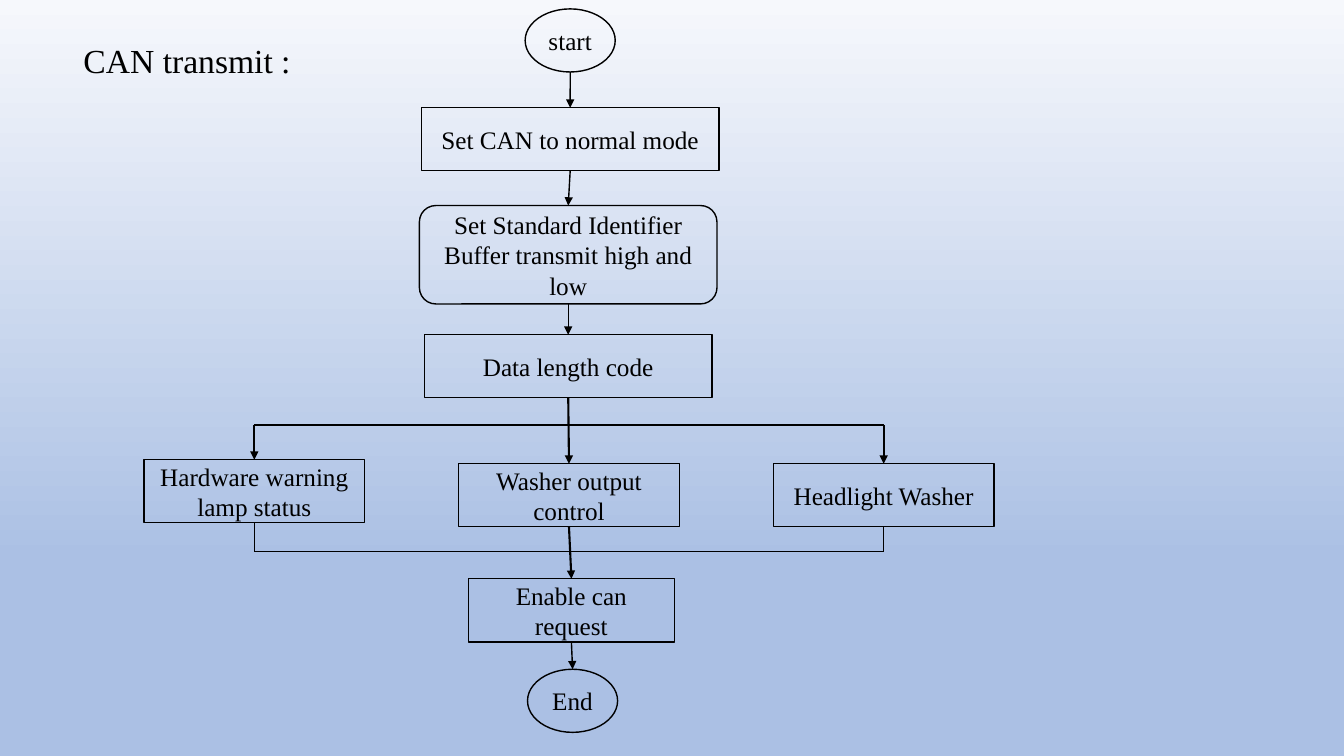
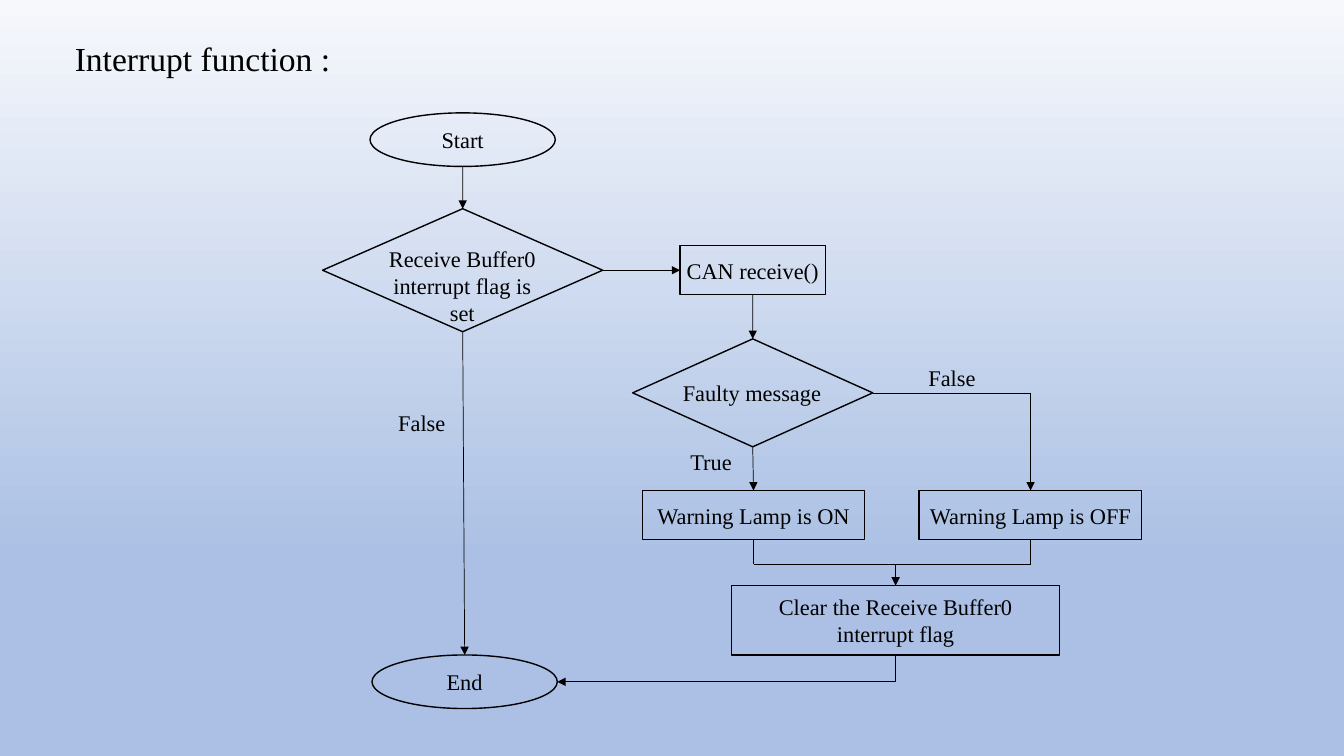
from copy import deepcopy

from lxml import etree
from pptx import Presentation
from pptx.dml.color import RGBColor
from pptx.enum import shapes, text
from pptx.oxml import ns
from pptx.util import Cm, Pt

BLACK = RGBColor(0x00, 0x00, 0x00)
SKY_TOP = RGBColor(0xF6, 0xF8, 0xFC)
SKY_BASE = RGBColor(0xAB, 0xC0, 0xE4)
FONT = "Times New Roman"

RECT = shapes.MSO_SHAPE.RECTANGLE
ROUND = shapes.MSO_SHAPE.ROUNDED_RECTANGLE
OVAL = shapes.MSO_SHAPE.OVAL
DIAMOND = shapes.MSO_SHAPE.DIAMOND


def top(box):
    return box.left + box.width // 2, box.top


def bottom(box):
    return box.left + box.width // 2, box.top + box.height


def left(box):
    return box.left, box.top + box.height // 2


def right(box):
    return box.left + box.width, box.top + box.height // 2


class FlowDeck:
    def __init__(self):
        self.deck = Presentation()
        self.deck.slide_width, self.deck.slide_height = Cm(33.87), Cm(19.05)
        self.page = None
        self.size = 18
        self.paint_master()

    def paint_master(self):
        master = self.deck.slide_master
        fill = master.background.fill
        fill.gradient()
        fill.gradient_angle = 270
        for stop, place, color in zip(fill.gradient_stops, (0, 0.74), (SKY_TOP, SKY_BASE)):
            stop.position = place
            stop.color.rgb = color
        stops = master.element.find(".//" + ns.qn("a:gsLst"))
        last = deepcopy(stops[-1])
        last.set("pos", "100000")
        stops.append(last)

    def new_page(self, title, x, y, size):
        self.page = self.deck.slides.add_slide(self.deck.slide_layouts[5])
        self.size = size
        box = self.page.shapes.title
        box.left, box.top, box.width, box.height = Cm(x), Cm(y), Cm(7.24), Cm(1.83)
        self.set_words(box, title, 24, text.PP_ALIGN.LEFT, True)
        box.text_frame.paragraphs[0].line_spacing = 0.9

    def set_words(self, box, words, size, align=text.PP_ALIGN.CENTER, wrap=False):
        frame = box.text_frame
        frame.text = words
        frame.auto_size = text.MSO_AUTO_SIZE.NONE
        frame.word_wrap = wrap
        frame.vertical_anchor = text.MSO_ANCHOR.MIDDLE
        for para in frame.paragraphs:
            para.alignment = align
            for span in para.runs:
                span.font.name = FONT
                span.font.size = Pt(size)
                span.font.color.rgb = BLACK

    def node(self, kind, words, x, y, width, height, wrap=False):
        box = self.page.shapes.add_shape(
            kind, Cm(x - width / 2), Cm(y - height / 2), Cm(width), Cm(height))
        box.shadow.inherit = False
        box.fill.background()
        box.line.color.rgb = BLACK
        box.line.width = Pt(1)
        if words:
            self.set_words(box, words, self.size, wrap=wrap)
        return box

    def label(self, words, x, y, width=1.96, height=0.94):
        box = self.page.shapes.add_textbox(
            Cm(x - width / 2), Cm(y - height / 2), Cm(width), Cm(height))
        self.set_words(box, words, self.size, wrap=True)

    def route(self, *points, weight=0.5, arrow=True):
        for start, end in zip(points, points[1:]):
            line = self.page.shapes.add_connector(
                shapes.MSO_CONNECTOR.STRAIGHT, *start, *end)
            line.line.color.rgb = BLACK
            line.line.width = Pt(weight)
            properties = line.element.spPr
            if arrow and end is points[-1]:
                outline = properties.find(ns.qn("a:ln"))
                etree.SubElement(outline, ns.qn("a:tailEnd"), type="triangle")
            etree.SubElement(properties, ns.qn("a:effectLst"))

    def chain(self, *boxes, weight=0.5):
        for upper, lower in zip(boxes, boxes[1:]):
            self.route(bottom(upper), top(lower), weight=weight)

    def join(self, first, second, rail):
        (x1, y1), (x2, y2) = bottom(first), bottom(second)
        self.route((x1, y1), (x1, rail), (x2, rail), (x2, y2), arrow=False)


def build_transmit(flow):
    flow.new_page("CAN transmit :", 1.85, 0.66, 18)
    start = flow.node(OVAL, "start", 14.37, 1.02, 2.27, 1.59)
    mode = flow.node(RECT, "Set CAN to normal mode", 14.37, 3.51, 7.5, 1.59)
    identifier = flow.node(
        ROUND, "Set Standard Identifier Buffer transmit high and low",
        14.32, 6.42, 7.5, 2.48, wrap=True)
    length = flow.node(RECT, "Data length code", 14.32, 9.23, 7.25, 1.59)
    branches = [
        ("Hardware warning lamp status", 12.38),
        ("Washer output control", 12.48),
        ("Headlight Washer", 12.48),
    ]
    lamp, washer, headlight = [
        flow.node(RECT, words, 6.41 + 7.93 * column, y, 5.56, 1.59, wrap=True)
        for column, (words, y) in enumerate(branches)]
    request = flow.node(RECT, "Enable can request", 14.4, 15.38, 5.2, 1.59, wrap=True)
    end = flow.node(OVAL, "End", 14.43, 17.66, 2.27, 1.59)

    flow.chain(start, mode, identifier, length, weight=1)
    flow.chain(length, washer, request, weight=1.5)
    flow.chain(request, end, weight=1)
    rail = Cm(10.72)
    for box in (lamp, headlight):
        x, y = top(box)
        flow.route((bottom(length)[0], rail), (x, rail), (x, y), weight=1.5)
    flow.join(lamp, headlight, Cm(13.89))


def build_interrupt(flow):
    flow.new_page("Interrupt function :", 1.63, 0.6, 16)
    start = flow.node(OVAL, "Start", 11.66, 3.52, 4.67, 1.35)
    flag = flow.node(DIAMOND, "", 11.66, 6.81, 7.06, 3.1)
    flow.label("Receive Buffer0 interrupt flag is set", 11.65, 7.2, 4.45, 2.31)
    receive = flow.node(RECT, "CAN receive()", 18.97, 6.81, 3.66, 1.24)
    faulty = flow.node(DIAMOND, "", 18.97, 9.9, 6.05, 2.72)
    flow.label("Faulty message", 18.95, 9.9, 4.78)
    lamp_on = flow.node(RECT, "Warning Lamp is ON", 18.99, 12.98, 5.61, 1.24)
    lamp_off = flow.node(RECT, "Warning Lamp is OFF", 25.97, 12.98, 5.61, 1.24)
    clear = flow.node(
        RECT, "Clear the Receive Buffer0 interrupt flag",
        22.57, 15.63, 8.28, 1.75, wrap=True)
    end = flow.node(OVAL, "End", 11.71, 17.18, 4.67, 1.35)

    flow.chain(start, flag, end)
    flow.route(right(flag), left(receive))
    flow.chain(receive, faulty, lamp_on)
    flow.route(right(faulty), (top(lamp_off)[0], right(faulty)[1]), top(lamp_off))
    rail = Cm(14.22)
    flow.join(lamp_on, lamp_off, rail)
    flow.route((top(clear)[0], rail), top(clear))
    flow.route(bottom(clear), (bottom(clear)[0], right(end)[1]), right(end))
    for words, x, y in [("True", 17.92, 11.62), ("False", 10.63, 10.66), ("False", 23.99, 9.51)]:
        flow.label(words, x, y)


def main():
    flow = FlowDeck()
    build_transmit(flow)
    build_interrupt(flow)
    flow.deck.save("out.pptx")


if __name__ == "__main__":
    main()
